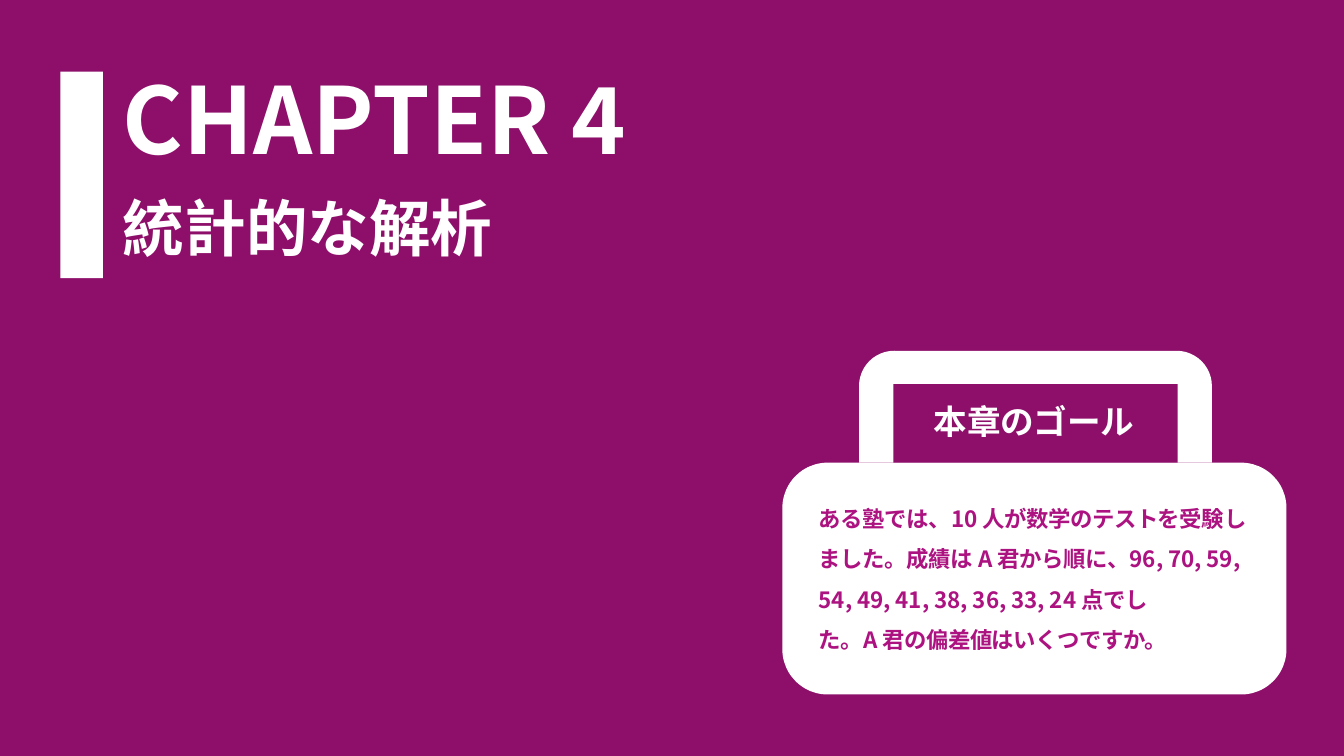
from pptx import Presentation
from pptx.dml.color import RGBColor
from pptx.enum import shapes, text
from pptx.oxml.ns import qn
from pptx.util import Inches, Pt

COLORS = {"purple": "8E0F6A", "white": "FFFFFF", "body": "AC1381"}
FONT = "Noto Sans CJK JP"
KIND = shapes.MSO_SHAPE

prs = Presentation()
prs.slide_width, prs.slide_height = Inches(13.33), Inches(7.5)
s = prs.slides.add_slide(prs.slide_layouts[6])
s.background.fill.solid()
s.background.fill.fore_color.rgb = RGBColor.from_string(COLORS["purple"])


def add_text(box, inset, color, paragraphs):
    """Each paragraph is (size, space before, line spacing, [(text, tracking in pt)])."""
    tf = s.shapes.add_textbox(*map(Inches, box)).text_frame
    tf.word_wrap = True
    tf.auto_size = text.MSO_AUTO_SIZE.NONE
    tf.margin_left = tf.margin_right = tf.margin_bottom = 0
    tf.margin_top = Inches(inset)
    for i, (size, before, spacing, runs) in enumerate(paragraphs):
        p = tf.add_paragraph() if i else tf.paragraphs[0]
        p.space_before = Pt(before)
        p.line_spacing = spacing
        p._p.get_or_add_pPr().set("marL", str(Inches(0.01)))
        for words, tracking in runs:
            r = p.add_run()
            r.text = words
            r.font.size, r.font.bold, r.font.name = Pt(size), True, FONT
            r.font.color.rgb = RGBColor.from_string(COLORS[color])
            rPr = r._r.get_or_add_rPr()
            rPr.set("spc", str(round(tracking * 100)))
            ea = rPr.makeelement(qn("a:ea"), {"typeface": FONT})
            rPr.find(qn("a:latin")).addnext(ea)


# Title bar, then the bag: body, handle and the opening in the handle
for kind, box, color, radius in [
    (KIND.RECTANGLE, (0.6, 0.71, 0.42, 2.05), "white", None),
    (KIND.ROUNDED_RECTANGLE, (7.76, 4.59, 5, 2.3), "white", 0.45),
    (KIND.ROUND_2_SAME_RECTANGLE, (8.52, 3.48, 3.5, 1.11), "white", 0.35),
    (KIND.RECTANGLE, (8.86, 3.81, 2.82, 0.78), "purple", None),
]:
    sp = s.shapes.add_shape(kind, *map(Inches, box))
    sp.shadow.inherit = False
    sp.fill.solid()
    sp.fill.fore_color.rgb = RGBColor.from_string(COLORS[color])
    sp.line.fill.background()
    if radius:
        sp.adjustments[0] = radius / min(box[2:])

add_text((1.21, 0.37, 5.52, 2.26), 0.25, "white", [
    (66, 18.1, 1.0, [("CHAPTER ", 0), ("4", -0.5)]),
    (44, 11.5, 1.0, [("統計的な解析", -0.1)]),
])
add_text((9.25, 3.97, 2.03, 0.43), 0.01, "white", [
    (24, 1, 1.0, [("本章のゴール", -0.1)]),
])

scores = []
for score in (59, 54, 49, 41, 38, 36, 33):
    scores += [(str(score), 0), (", ", -0.1)]
add_text((8.11, 4.87, 4.28, 1.63), 0.01, "body", [
    (16, 1, 1.5, [
        ("ある塾では、", -0.2), ("10", 0), (" 人が数学のテストを受験", -0.3),
        ("しました。成績は ", -0.2), ("A", 0), (" 君から順に、", -0.2),
        ("96", 0), (", ", 0.2), ("70, ", -0.2), *scores,
        ("24", 0), (" 点でし", -0.3),
    ]),
    (16, 9.6, 1.0, [
        ("た。", -0.2), ("A", 0), (" 君の偏差値はいくつですか。", -0.3),
    ]),
])

prs.save("out.pptx")
